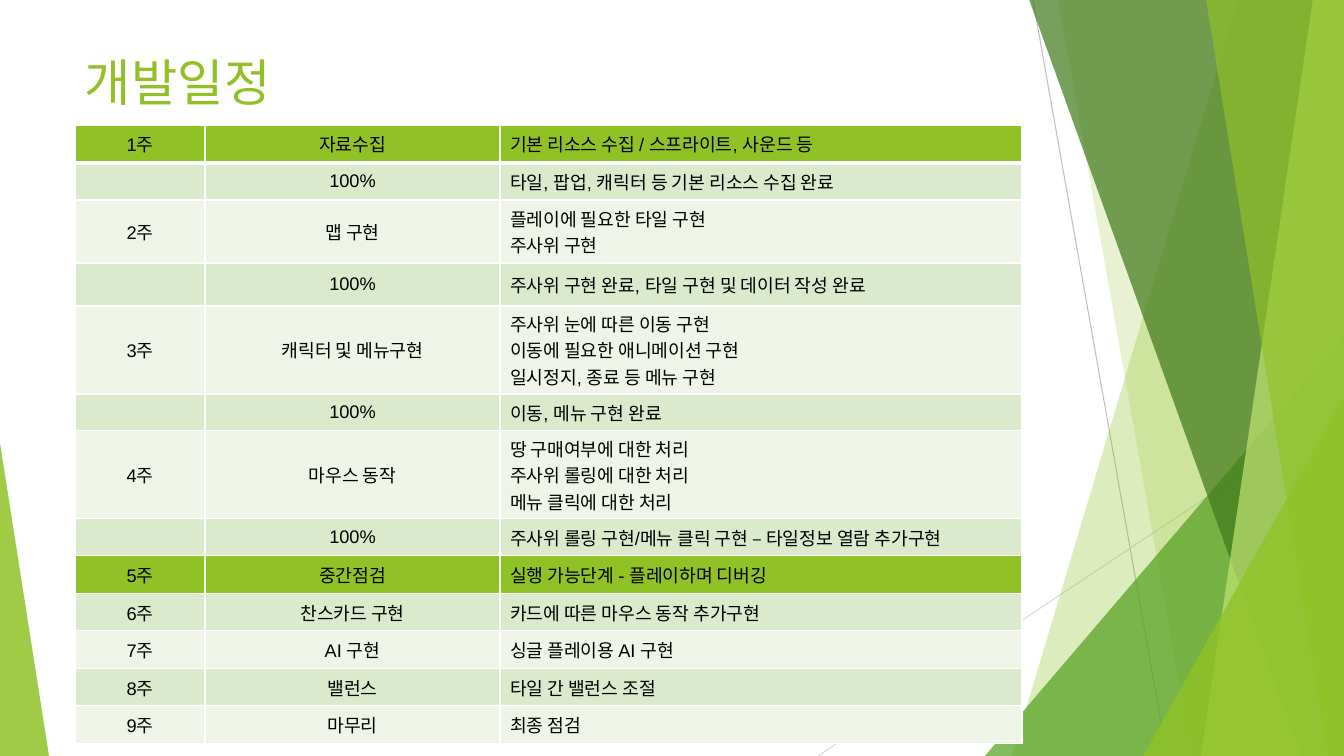
from lxml.etree import SubElement
from pptx import Presentation
from pptx.dml.color import RGBColor
from pptx.enum.shapes import MSO_CONNECTOR, MSO_SHAPE
from pptx.enum.text import MSO_ANCHOR, PP_ALIGN
from pptx.oxml.ns import qn
from pptx.util import Emu, Pt

SCALE = 914400 / 100.8
GREEN, PALE, LIGHT = "90C226", "DBE9CD", "EEF4E8"


def px(value):
    return Emu(round(value * SCALE))


def paint(fill, color, opacity=100):
    fill.solid()
    fill.fore_color.rgb = RGBColor.from_string(color)
    if opacity < 100:
        node = fill._xPr.find(qn("a:solidFill"))[0]
        SubElement(node, qn("a:alpha"), val=str(opacity * 1000))


deck = Presentation()
deck.slide_width, deck.slide_height = px(1344), px(756)
page = deck.slides.add_slide(deck.slide_layouts[6])

for x1, y1, x2, y2, color in [
    (1033, 0, 1167, 756, "BFBFBF"),
    (1344, 406, 818, 756, "D9D9D9"),
]:
    line = page.shapes.add_connector(
        MSO_CONNECTOR.STRAIGHT, px(x1), px(y1), px(x2), px(y2))
    line.line.width = Pt(0.75)
    paint(line.line.fill, color)
    SubElement(line._element.spPr, qn("a:effectLst"))

facets = [
    ("band", (1238, 1012), GREEN, 30),
    ("band", (1058, 1192), GREEN, 20),
    ("triangle", (985, 336, 359, 420, 1), "54A021", 72),
    ("band", (1029, 1301), "3F7819", 70),
    ("band", (1313, 1201), "C0E474", 70),
    ("band", (1206, 1328), GREEN, 65),
    ("triangle", (1143, 396, 201, 360, 1), GREEN, 80),
    ("triangle", (0, 443, 49, 313, 0), GREEN, 85),
]
for kind, geometry, color, opacity in facets:
    if kind == "band":
        top, bottom = geometry
        outline = page.shapes.build_freeform(top, -1, scale=SCALE)
        outline.add_line_segments([(1344, -1), (1344, 756), (bottom, 756)])
        facet = outline.convert_to_shape()
    else:
        *bounds, apex = geometry
        facet = page.shapes.add_shape(
            MSO_SHAPE.ISOSCELES_TRIANGLE, *map(px, bounds))
        facet.adjustments[0] = apex
    facet.shadow.inherit = False
    facet.line.fill.background()
    paint(facet.fill, color, opacity)

title = page.shapes.add_textbox(px(75), px(46), px(947), px(145))
title.text_frame.word_wrap = True
span = title.text_frame.paragraphs[0].add_run()
span.text = "개발일정"
for name, value in {"name": "Cabin", "size": Pt(36)}.items():
    setattr(span.font, name, value)
paint(span.font.fill, GREEN)

schedule = [
    (38, GREEN, "1주", "자료수집", "기본 리소스 수집 / 스프라이트, 사운드 등"),
    (37, PALE, "", "100%", "타일, 팝업, 캐릭터 등 기본 리소스 수집 완료"),
    (63, LIGHT, "2주", "맵 구현", "플레이에 필요한 타일 구현\n주사위 구현"),
    (43, PALE, "", "100%", "주사위 구현 완료, 타일 구현 및 데이터 작성 완료"),
    (88, LIGHT, "3주", "캐릭터 및 메뉴구현",
     "주사위 눈에 따른 이동 구현\n이동에 필요한 애니메이션 구현\n일시정지, 종료 등 메뉴 구현"),
    (37, PALE, "", "100%", "이동, 메뉴 구현 완료"),
    (88, LIGHT, "4주", "마우스 동작",
     "땅 구매여부에 대한 처리\n주사위 롤링에 대한 처리\n메뉴 클릭에 대한 처리"),
    (37, PALE, "", "100%", "주사위 롤링 구현/메뉴 클릭 구현 – 타일정보 열람 추가구현"),
    (38, GREEN, "5주", "중간점검", "실행 가능단계 - 플레이하며 디버깅"),
    (37, PALE, "6주", "찬스카드 구현", "카드에 따른 마우스 동작 추가구현"),
    (38, LIGHT, "7주", "AI 구현", "싱글 플레이용 AI 구현"),
    (37, PALE, "8주", "밸런스", "타일 간 밸런스 조절"),
    (38, LIGHT, "9주", "마무리", "최종 점검"),
]
widths = [130, 295, 522]
total = sum(row[0] for row in schedule)
table = page.shapes.add_table(
    len(schedule), len(widths), px(75), px(125), px(sum(widths)), px(total)).table
for column, width in zip(table.columns, widths):
    column.width = px(width)

cell_format = {"vertical_anchor": MSO_ANCHOR.MIDDLE,
               "margin_top": px(2), "margin_bottom": px(2)}
text_format = {"name": "Arial", "size": Pt(13), "bold": False}
for row, (height, color, *texts) in enumerate(schedule):
    table.rows[row].height = px(height)
    for column, text in enumerate(texts):
        cell = table.cell(row, column)
        for name, value in cell_format.items():
            setattr(cell, name, value)
        for side in "LRTB":
            thick = (row, side) in [(0, "B"), (1, "T")]
            border = SubElement(cell._tc.get_or_add_tcPr(), qn("a:ln" + side),
                                w=str(Pt(3 if thick else 1)))
            solid = SubElement(border, qn("a:solidFill"))
            SubElement(solid, qn("a:srgbClr"), val="FFFFFF")
        paint(cell.fill, color)
        if not text:
            continue
        cell.text = text
        for para in cell.text_frame.paragraphs:
            para.alignment = PP_ALIGN.LEFT if column == 2 else PP_ALIGN.CENTER
            for span in para.runs:
                for name, value in text_format.items():
                    setattr(span.font, name, value)
                paint(span.font.fill, "000000")

deck.save("out.pptx")
